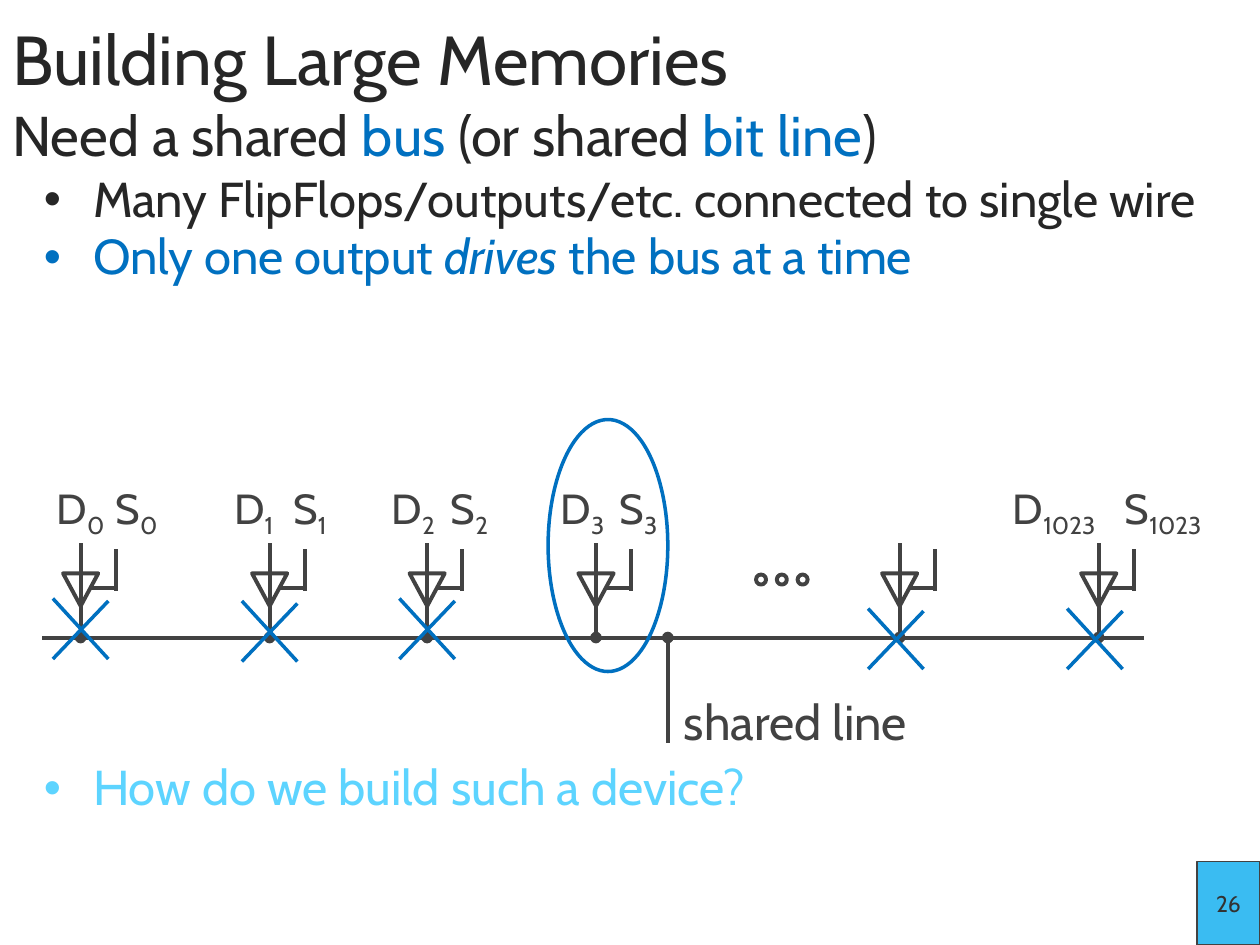
from lxml import etree
from pptx import Presentation
from pptx.dml.color import RGBColor
from pptx.enum import shapes as sh, text as tx
from pptx.oxml.ns import qn
from pptx.util import Inches, Pt

INK, DARK, BLUE, SKY = "424242", "262626", "0070C0", "5DD4FF"


def style(item, fill, line, width=2.25):
    """Set fill and line of a shape, or the line alone of a connector (fill None)."""
    if hasattr(item, "fill"):
        item.shadow.inherit = False
        if fill:
            item.fill.solid()
            item.fill.fore_color.rgb = RGBColor.from_string(fill)
        else:
            item.fill.background()
    else:
        etree.SubElement(item._element.spPr, qn("a:effectLst"))
    item.line.color.rgb = RGBColor.from_string(line)
    item.line.width = Pt(width)


def write(para, parts, size):
    """Add (text, colour) runs to a paragraph."""
    for word, color in parts:
        run = para.add_run()
        run.text = word
        run.font.name = "Cabin"
        run.font.size = Pt(size)
        run.font.color.rgb = RGBColor.from_string(color)


prs = Presentation()
prs.slide_width, prs.slide_height = Inches(10), Inches(7.5)
slide = prs.slides.add_slide(prs.slide_layouts[6])
tree = slide.shapes

# Page number
page = tree.add_shape(sh.MSO_SHAPE.RECTANGLE, Inches(9.5), Inches(6.84), Inches(0.5), Inches(0.66))
style(page, "3ABCF2", INK, 0.75)
frame = page.text_frame
frame.word_wrap = False
frame.vertical_anchor = tx.MSO_ANCHOR.MIDDLE
frame.paragraphs[0].alignment = tx.PP_ALIGN.CENTER
write(frame.paragraphs[0], [("26", "323232")], 13)

# Title
title = tree.add_textbox(0, Inches(0.17), Inches(9.75), Inches(0.58))
title.text_frame.word_wrap = True
title.text_frame.vertical_anchor = tx.MSO_ANCHOR.MIDDLE
write(title.text_frame.paragraphs[0], [("Building Large Memories", DARK)], 39.6)

# Body text: the lead line and bullets above the circuit, one bullet below it
lead = [("Need a shared ", DARK), ("bus ", BLUE), ("(or shared ", DARK), ("bit line", BLUE), (")", DARK)]
wires = [("Many FlipFlops/outputs/etc. connected to single wire", DARK)]
drive = [("Only one output ", BLUE), ("drives", BLUE), (" the bus at a time", BLUE)]
ask = [("How do we build such a device?", SKY)]
for top, high, rows in [(0.75, 1.65, [lead, wires, drive]), (5.98, 0.57, [ask])]:
    box = tree.add_textbox(0, Inches(top), Inches(10), Inches(high))
    frame = box.text_frame
    frame.word_wrap = True
    for n, parts in enumerate(rows):
        para = frame.paragraphs[0] if n == 0 else frame.add_paragraph()
        if parts is not lead:
            props = para._p.get_or_add_pPr()
            props.set("lvl", "1")
            props.set("marL", str(Inches(0.64)))
            props.set("indent", str(Inches(-0.39)))
            etree.SubElement(props, qn("a:buFont"), typeface="Arial")
            etree.SubElement(props, qn("a:buChar"), char="•")
            para.line_spacing = 0.97
            if parts is wires:
                para.space_before = Pt(2)
        write(para, parts, 32 if parts is lead else 28)
        if parts is drive:
            para.runs[1].font.italic = True

# Tri-state gates: left edge, index, D and S label offsets, label width
straight = sh.MSO_CONNECTOR.STRAIGHT
gates = [
    (0.5, "0", -0.15, 0.32, 0.7),
    (2, "1", -0.24, 0.23, 0.7),
    (3.25, "2", -0.24, 0.23, 0.7),
    (4.59, "3", -0.24, 0.23, 0.7),
    (7, "", 0, 0, 0),
    (8.58, "1023", -0.64, 0.25, 1.1),
]
for left, index, data, select, wide in gates:
    mid = left + 0.14
    group = tree.add_group_shape()
    gate = group.shapes.add_shape(
        sh.MSO_SHAPE.ISOSCELES_TRIANGLE, Inches(left), Inches(4.55), Inches(0.28), Inches(0.26))
    gate.rotation = 180
    style(gate, None, INK)
    for x1, y1, x2, y2 in [
        (mid, 4.31, mid, 5.05),
        (mid, 5.06, mid, 4.81),
        (left + 0.22, 4.67, left + 0.42, 4.67),
        (left + 0.42, 4.69, left + 0.42, 4.36),
    ]:
        wire = group.shapes.add_connector(straight, Inches(x1), Inches(y1), Inches(x2), Inches(y2))
        style(wire, None, INK)
        if y1 == 5.06:
            etree.SubElement(wire.line._get_or_add_ln(), qn("a:headEnd"), type="oval")
    if index:
        for name, shift in [("S", select), ("D", data)]:
            label = tree.add_textbox(Inches(left + shift), Inches(3.78), Inches(wide), Inches(0.5))
            label.text_frame.word_wrap = True
            para = label.text_frame.paragraphs[0]
            write(para, [(name, INK), (index, INK)], 24)
            para.runs[1].font._element.set("baseline", "-25000")

# Shared line and its tap
bus = tree.add_connector(straight, Inches(9.08), Inches(5.06), Inches(0.33), Inches(5.06))
style(bus, None, INK)
tap = tree.add_connector(straight, Inches(5.3), Inches(5.06), Inches(5.3), Inches(5.9))
style(tap, None, INK)
etree.SubElement(tap.line._get_or_add_ln(), qn("a:headEnd"), type="oval")
note = tree.add_textbox(Inches(5.33), Inches(5.44), Inches(2.13), Inches(0.57))
note.text_frame.word_wrap = True
write(note.text_frame.paragraphs[0], [("shared line", INK)], 28)

# Dots for the gates left out
for n in range(3):
    dot = tree.add_shape(
        sh.MSO_SHAPE.OVAL, Inches(6 + n * 0.165), Inches(4.56), Inches(0.08), Inches(0.08))
    style(dot, "FFFFFF", INK)

# The driving gate is ringed, the others are crossed out
ring = tree.add_shape(sh.MSO_SHAPE.OVAL, Inches(4.35), Inches(3.33), Inches(0.95), Inches(2))
style(ring, None, BLUE, 2)
for left, top in [(0.42, 4.75), (1.92, 4.77), (3.17, 4.75), (6.89, 4.83), (8.47, 4.83)]:
    for y1, y2 in [(top, top + 0.48), (top + 0.48, top + 0.02)]:
        slash = tree.add_connector(straight, Inches(left), Inches(y1), Inches(left + 0.44), Inches(y2))
        style(slash, None, BLUE, 2)

prs.save("out.pptx")
